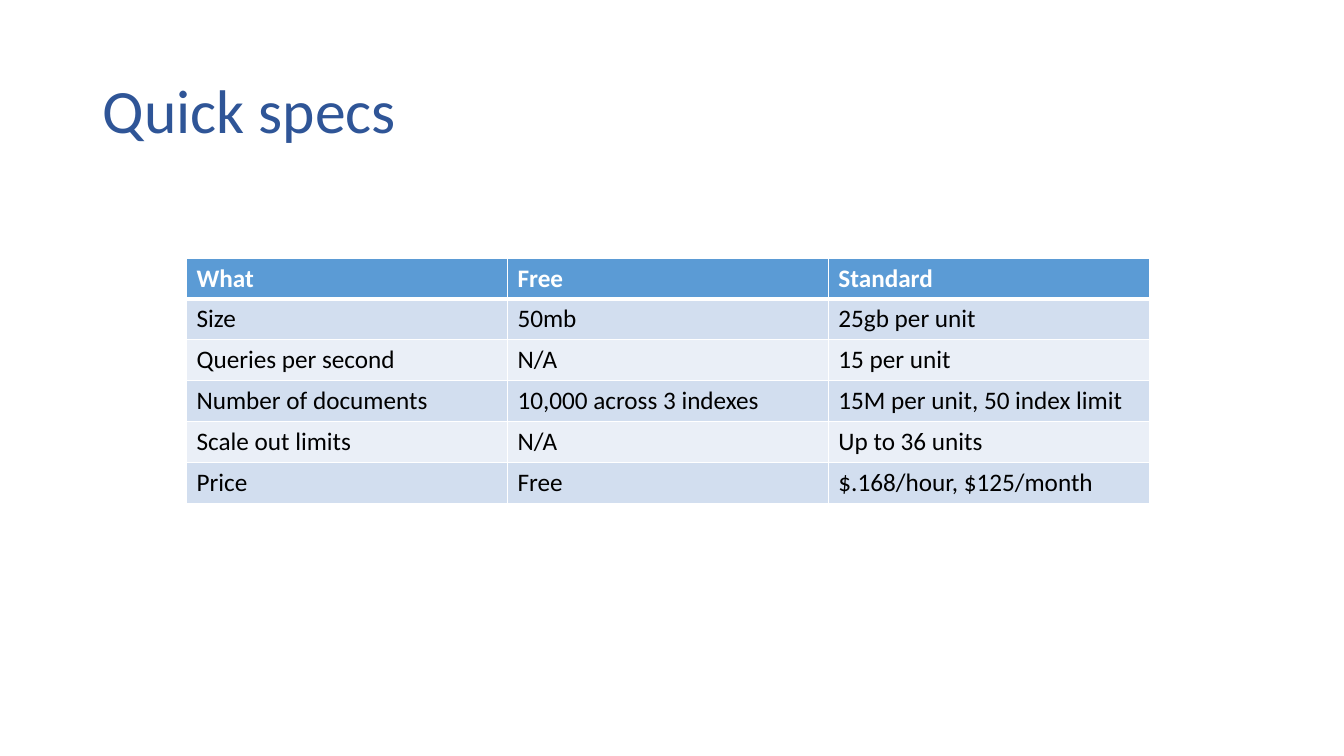
from dataclasses import dataclass

from lxml import etree
from pptx import Presentation
from pptx.dml.color import RGBColor
from pptx.enum.text import MSO_ANCHOR, PP_ALIGN
from pptx.oxml.ns import qn
from pptx.util import Inches, Pt

LEFT = PP_ALIGN.LEFT
MIDDLE = MSO_ANCHOR.MIDDLE
TITLE_ONLY = 5


@dataclass(frozen=True)
class Theme:
    font: str = "Calibri"
    title_size: int = 44
    table_size: int = 18
    title: str = "2F5597"
    header: str = "5B9BD5"
    bands: tuple = ("D2DEEF", "EAEFF7")
    header_text: str = "FFFFFF"
    body_text: str = "000000"
    border: str = "FFFFFF"
    thin: int = 1
    thick: int = 3


THEME = Theme()

SPECS = [
    ("What", "Free", "Standard"),
    ("Size", "50mb", "25gb per unit"),
    ("Queries per second", "N/A", "15 per unit"),
    ("Number of documents", "10,000 across 3 indexes", "15M per unit, 50 index limit"),
    ("Scale out limits", "N/A", "Up to 36 units"),
    ("Price", "Free", "$.168/hour, $125/month"),
]


def set_font(p, size, color, bold=False):
    p.font.name = THEME.font
    p.font.size = Pt(size)
    p.font.bold = bold
    p.font.color.rgb = RGBColor.from_string(color)


def set_borders(cell, top, bottom):
    """Draw the four cell borders; top and bottom are widths in points."""
    tcPr = cell._tc.get_or_add_tcPr()
    widths = {"a:lnL": THEME.thin, "a:lnR": THEME.thin, "a:lnT": top, "a:lnB": bottom}
    for tag, width in widths.items():
        ln = etree.SubElement(tcPr, qn(tag), w=str(Pt(width)))
        fill = etree.SubElement(ln, qn("a:solidFill"))
        etree.SubElement(fill, qn("a:srgbClr"), val=THEME.border)


def add_title(slide, text, left, top, width, height):
    sp = slide.shapes.title
    sp.left, sp.top, sp.width, sp.height = left, top, width, height
    tf = sp.text_frame
    tf.text = text
    tf.word_wrap = True
    tf.vertical_anchor = MIDDLE
    p = tf.paragraphs[0]
    p.alignment = LEFT
    p.line_spacing = 0.9
    set_font(p, THEME.title_size, THEME.title)


def add_specs_table(slide, rows, left, top, width, height):
    table = slide.shapes.add_table(len(rows), len(rows[0]), left, top, width, height).table
    for i, row in enumerate(rows):
        header = i == 0
        fill = THEME.header if header else THEME.bands[(i - 1) % 2]
        color = THEME.header_text if header else THEME.body_text
        for j, text in enumerate(row):
            cell = table.cell(i, j)
            set_borders(cell,
                        top=THEME.thick if i == 1 else THEME.thin,
                        bottom=THEME.thick if header else THEME.thin)
            cell.fill.solid()
            cell.fill.fore_color.rgb = RGBColor.from_string(fill)
            cell.text = text
            set_font(cell.text_frame.paragraphs[0], THEME.table_size, color, header)


def main():
    prs = Presentation()
    prs.slide_width, prs.slide_height = Inches(13.33), Inches(7.5)
    slide = prs.slides.add_slide(prs.slide_layouts[TITLE_ONLY])
    add_title(slide, "Quick specs", Inches(0.92), Inches(0.4), Inches(11.5), Inches(1.45))
    add_specs_table(slide, SPECS, Inches(1.85), Inches(2.56), Inches(9.55), Inches(2.43))
    prs.save("out.pptx")


if __name__ == "__main__":
    main()
